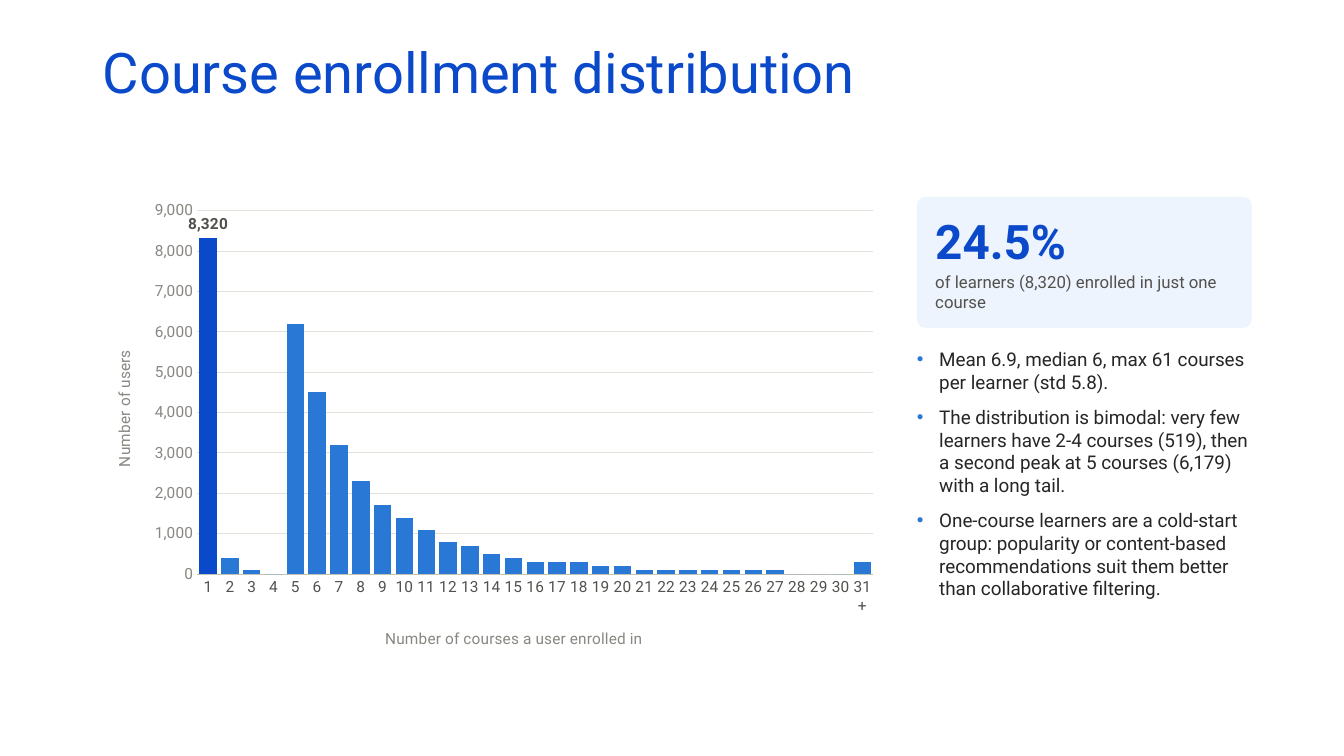
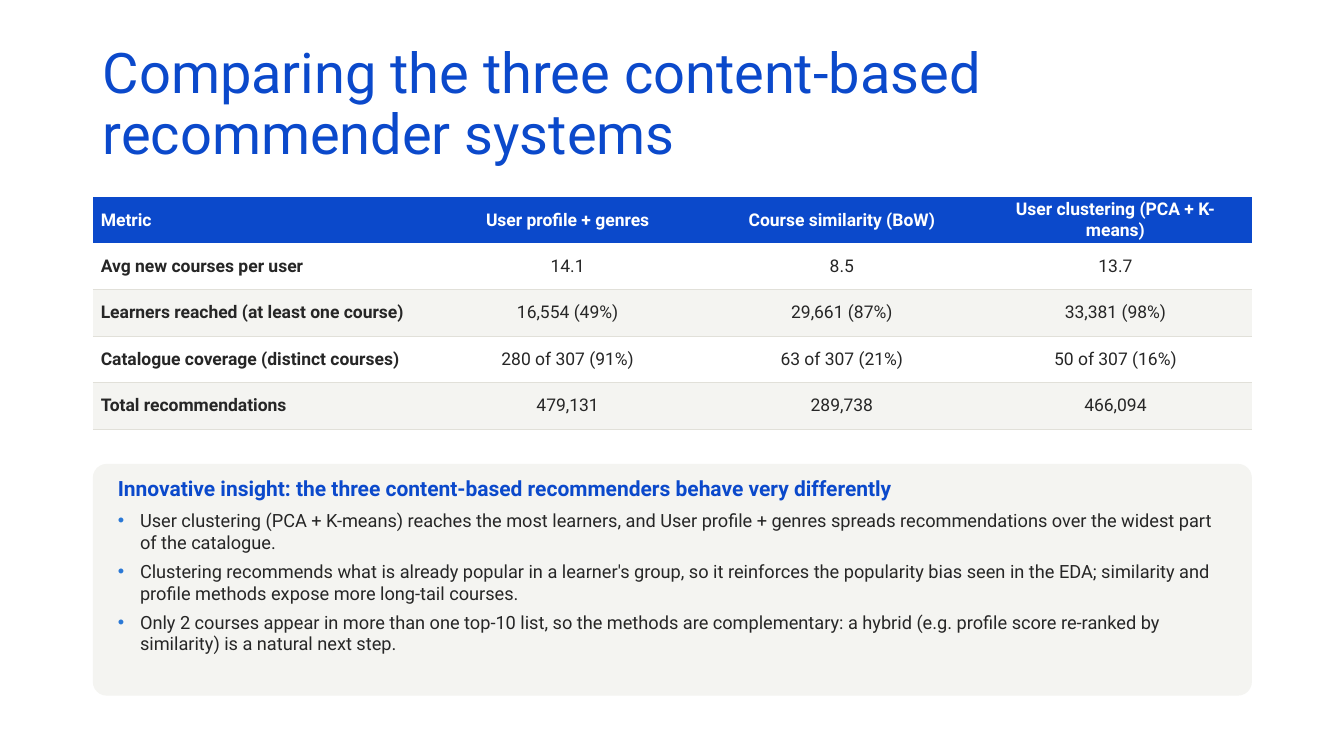
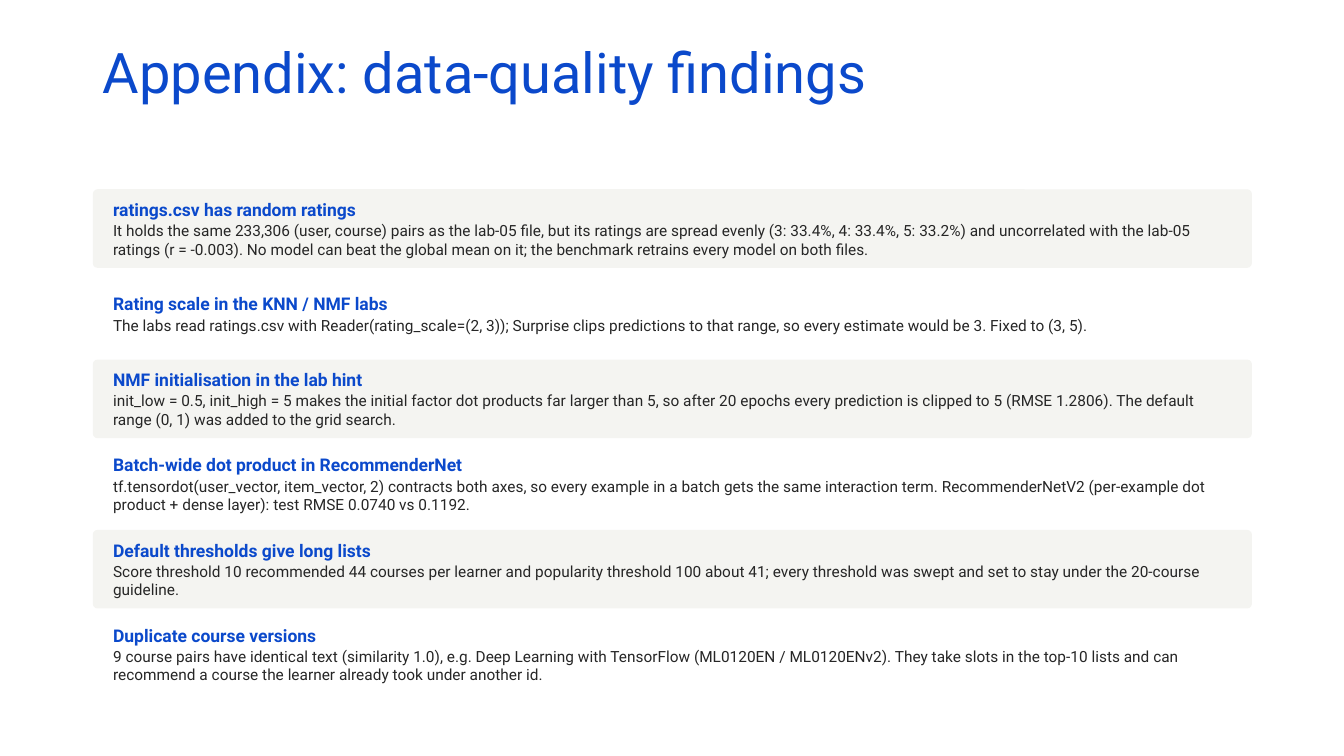
from collections import namedtuple

from lxml.etree import SubElement
from pptx import Presentation
from pptx.chart.data import CategoryChartData
from pptx.dml.color import RGBColor
from pptx.enum.chart import XL_CHART_TYPE, XL_LABEL_POSITION, XL_TICK_MARK
from pptx.enum.shapes import MSO_SHAPE
from pptx.enum.text import MSO_ANCHOR, PP_ALIGN
from pptx.oxml.ns import qn
from pptx.util import Cm, Pt

Style = namedtuple("Style", "size color bold after bullet", defaults=(False, 0, False))


class Theme:
    font, bullet_font = "Roboto", "Arial"
    blue, bar, pale = "0B49CB", "2A78D6", "EEF4FD"
    ink, slate, muted = "262626", "52514E", "898781"
    band, grid, axis, white = "F4F4F1", "E1E0D9", "C3C2B7", "FFFFFF"
    no_table_style = "{2D5ABB26-0587-4C30-8999-92F81FD0307C}"
    left, width = 2.34, 29.21
    title = Style(40, blue)
    figure = Style(34, blue, True, 2)
    caption = Style(12, slate)
    bullet = Style(13.5, ink, after=9, bullet=True)
    insight = Style(15, blue, True, 6)
    insight_bullet = Style(13, ink, after=5, bullet=True)
    finding = Style(12.5, blue, True, 1)
    detail = Style(11, ink)
    header = Style(12.5, white, True)
    metric = Style(12.5, ink, True)
    value = Style(12.5, ink)
    chart = Style(11, slate)
    chart_muted = Style(11, muted)
    chart_label = Style(11, slate, True)


ENROLLMENT_TITLE = "Course enrollment distribution"
COURSES = [str(n) for n in range(1, 31)] + ["31+"]
USERS = [8320, 400, 100, 0, 6200, 4500, 3200, 2300, 1700, 1400, 1100, 800, 700, 500, 400, 300,
         300, 300, 200, 200, 100, 100, 100, 100, 100, 100, 100, 0, 0, 0, 300]
COURSE_AXIS, USER_AXIS = "Number of courses a user enrolled in", "Number of users"
HEADLINE = ("24.5%", "of learners (8,320) enrolled in just one course")
ENROLLMENT_NOTES = [
    "Mean 6.9, median 6, max 61 courses per learner (std 5.8).",
    "The distribution is bimodal: very few learners have 2-4 courses (519), then a second peak "
    "at 5 courses (6,179) with a long tail.",
    "One-course learners are a cold-start group: popularity or content-based recommendations "
    "suit them better than collaborative filtering.",
]

COMPARISON_TITLE = "Comparing the three content-based recommender systems"
COMPARISON = [
    ("Metric", "User profile + genres", "Course similarity (BoW)", "User clustering (PCA + K-means)"),
    ("Avg new courses per user", "14.1", "8.5", "13.7"),
    ("Learners reached (at least one course)", "16,554 (49%)", "29,661 (87%)", "33,381 (98%)"),
    ("Catalogue coverage (distinct courses)", "280 of 307 (91%)", "63 of 307 (21%)", "50 of 307 (16%)"),
    ("Total recommendations", "479,131", "289,738", "466,094"),
]
COLUMN_WIDTHS = (8.51, 6.91, 6.91, 6.88)
INSIGHT = "Innovative insight: the three content-based recommenders behave very differently"
INSIGHT_NOTES = [
    "User clustering (PCA + K-means) reaches the most learners, and User profile + genres spreads "
    "recommendations over the widest part of the catalogue.",
    "Clustering recommends what is already popular in a learner's group, so it reinforces the "
    "popularity bias seen in the EDA; similarity and profile methods expose more long-tail courses.",
    "Only 2 courses appear in more than one top-10 list, so the methods are complementary: a hybrid "
    "(e.g. profile score re-ranked by similarity) is a natural next step.",
]

APPENDIX_TITLE = "Appendix: data-quality findings"
FINDINGS = [
    ("ratings.csv has random ratings",
     "It holds the same 233,306 (user, course) pairs as the lab-05 file, but its ratings are spread "
     "evenly (3: 33.4%, 4: 33.4%, 5: 33.2%) and uncorrelated with the lab-05 ratings (r = -0.003). "
     "No model can beat the global mean on it; the benchmark retrains every model on both files."),
    ("Rating scale in the KNN / NMF labs",
     "The labs read ratings.csv with Reader(rating_scale=(2, 3)); Surprise clips predictions to that "
     "range, so every estimate would be 3. Fixed to (3, 5)."),
    ("NMF initialisation in the lab hint",
     "init_low = 0.5, init_high = 5 makes the initial factor dot products far larger than 5, so after "
     "20 epochs every prediction is clipped to 5 (RMSE 1.2806). The default range (0, 1) was added to "
     "the grid search."),
    ("Batch-wide dot product in RecommenderNet",
     "tf.tensordot(user_vector, item_vector, 2) contracts both axes, so every example in a batch gets "
     "the same interaction term. RecommenderNetV2 (per-example dot product + dense layer): test RMSE "
     "0.0740 vs 0.1192."),
    ("Default thresholds give long lists",
     "Score threshold 10 recommended 44 courses per learner and popularity threshold 100 about 41; "
     "every threshold was swept and set to stay under the 20-course guideline."),
    ("Duplicate course versions",
     "9 course pairs have identical text (similarity 1.0), e.g. Deep Learning with TensorFlow "
     "(ML0120EN / ML0120ENv2). They take slots in the top-10 lists and can recommend a course the "
     "learner already took under another id."),
]


def rgb(color):
    return RGBColor.from_string(color)


def paint(fill, color):
    fill.solid()
    fill.fore_color.rgb = rgb(color)


def set_font(font, style):
    font.name = Theme.font
    font.size = Pt(style.size)
    font.bold = style.bold
    font.color.rgb = rgb(style.color)


def add_bullet(para):
    properties = para._p.get_or_add_pPr()
    properties.set("marL", str(Cm(0.56)))
    properties.set("indent", str(-Cm(0.56)))
    color = SubElement(properties, qn("a:buClr"))
    SubElement(color, qn("a:srgbClr")).set("val", Theme.bar)
    SubElement(properties, qn("a:buFont")).set("typeface", Theme.bullet_font)
    SubElement(properties, qn("a:buChar")).set("char", "•")


def write_para(para, text, style):
    para.text = text
    if style.bullet:
        add_bullet(para)
    if style.after:
        para.space_after = Pt(style.after)
    set_font(para.font, style)


def add_text(page, area, lines, anchor=MSO_ANCHOR.TOP, inset=(0, 0)):
    frame = page.shapes.add_textbox(*map(Cm, area)).text_frame
    frame.word_wrap = True
    frame.vertical_anchor = anchor
    frame.margin_left = frame.margin_right = Cm(inset[0])
    frame.margin_top = frame.margin_bottom = Cm(inset[1])
    for index, (text, style) in enumerate(lines):
        para = frame.add_paragraph() if index else frame.paragraphs[0]
        write_para(para, text, style)
    return frame


def add_card(page, area, color):
    card = page.shapes.add_shape(MSO_SHAPE.ROUNDED_RECTANGLE, *map(Cm, area))
    card.adjustments[0] = 0.06
    card.shadow.inherit = False
    paint(card.fill, color)
    card.line.fill.background()


def add_page(deck, title):
    page = deck.slides.add_slide(deck.slide_layouts[6])
    frame = add_text(page, (Theme.left, 1.02, Theme.width, 3.68), [(title, Theme.title)],
                     inset=(0.25, 0.13))
    frame.paragraphs[0].line_spacing = 0.9
    return page


def style_axis(axis, title, style):
    axis.has_title = True
    para = axis.axis_title.text_frame.paragraphs[0]
    para.text = title
    set_font(para.font, Theme.chart_muted)
    set_font(axis.tick_labels.font, style)
    axis.major_tick_mark = axis.minor_tick_mark = XL_TICK_MARK.NONE


def add_histogram(page, area):
    data = CategoryChartData(number_format="#,##0")
    data.categories = COURSES
    data.add_series(USER_AXIS, USERS)
    chart = page.shapes.add_chart(XL_CHART_TYPE.COLUMN_CLUSTERED, *map(Cm, area), data).chart
    chart.has_legend = chart.has_title = False
    set_font(chart.font, Theme.chart)

    style_axis(chart.category_axis, COURSE_AXIS, Theme.chart)
    axis_line = chart.category_axis.format.line
    axis_line.color.rgb = rgb(Theme.axis)
    axis_line.width = Pt(0.75)

    users = chart.value_axis
    style_axis(users, USER_AXIS, Theme.chart_muted)
    users.minimum_scale, users.maximum_scale, users.major_unit = 0, 9000, 1000
    users.tick_labels.number_format = "#,##0"
    users.tick_labels.number_format_is_linked = False
    users.format.line.fill.background()
    users.major_gridlines.format.line.color.rgb = rgb(Theme.grid)
    users.major_gridlines.format.line.width = Pt(0.75)

    plot = chart.plots[0]
    plot.gap_width = 25
    plot.vary_by_categories = False
    series = plot.series[0]
    paint(series.format.fill, Theme.bar)
    single_course = series.points[0]
    paint(single_course.format.fill, Theme.blue)
    label = single_course.data_label
    set_font(label.font, Theme.chart_label)
    label.position = XL_LABEL_POSITION.OUTSIDE_END


def add_bottom_border(cell):
    line = SubElement(cell._tc.get_or_add_tcPr(), qn("a:lnB"), w=str(Pt(0.75)))
    fill = SubElement(line, qn("a:solidFill"))
    SubElement(fill, qn("a:srgbClr")).set("val", Theme.grid)


def add_comparison(page, top, row_height):
    rows = len(COMPARISON)
    area = (Theme.left, top, Theme.width, rows * row_height)
    table = page.shapes.add_table(rows, len(COLUMN_WIDTHS), *map(Cm, area)).table
    table.horz_banding = False
    table._tbl.tblPr.find(qn("a:tableStyleId")).text = Theme.no_table_style
    for column, width in zip(table.columns, COLUMN_WIDTHS):
        column.width = Cm(width)
    for r, texts in enumerate(COMPARISON):
        table.rows[r].height = Cm(row_height)
        background = Theme.blue if r == 0 else (Theme.band, Theme.white)[r % 2]
        for c, text in enumerate(texts):
            cell = table.cell(r, c)
            if r:
                add_bottom_border(cell)
            paint(cell.fill, background)
            cell.vertical_anchor = MSO_ANCHOR.MIDDLE
            cell.margin_left = cell.margin_right = Cm(0.2)
            cell.margin_top = cell.margin_bottom = Cm(0.05)
            para = cell.text_frame.paragraphs[0]
            if c:
                para.alignment = PP_ALIGN.CENTER
            body = Theme.value if c else Theme.metric
            write_para(para, text, body if r else Theme.header)


def build_enrollment(deck):
    page = add_page(deck, ENROLLMENT_TITLE)
    add_histogram(page, (Theme.left, 4.83, 20.07, 12.06))
    add_card(page, (23.11, 4.96, 8.43, 3.3), Theme.pale)
    add_text(page, (23.57, 5.26, 7.52, 2.69), zip(HEADLINE, (Theme.figure, Theme.caption)),
             MSO_ANCHOR.MIDDLE)
    add_text(page, (23.11, 8.76, 8.43, 8.89), [(note, Theme.bullet) for note in ENROLLMENT_NOTES])


def build_comparison(deck):
    page = add_page(deck, COMPARISON_TITLE)
    add_comparison(page, 4.96, 1.17)
    add_card(page, (Theme.left, 11.69, Theme.width, 5.84), Theme.band)
    notes = [(note, Theme.insight_bullet) for note in INSIGHT_NOTES]
    add_text(page, (2.97, 11.99, 27.94, 5.33), [(INSIGHT, Theme.insight)] + notes)


def build_appendix(deck):
    page = add_page(deck, APPENDIX_TITLE)
    first, last, height = 4.77, 15.5, 1.98
    side, edge = 0.51, 0.08
    pitch = (last - first) / (len(FINDINGS) - 1)
    for index, finding in enumerate(FINDINGS):
        top = first + index * pitch
        add_card(page, (Theme.left, top, Theme.width, height), (Theme.band, Theme.white)[index % 2])
        area = (Theme.left + side, top + edge, Theme.width - 2 * side, height - 2 * edge)
        add_text(page, area, zip(finding, (Theme.finding, Theme.detail)), MSO_ANCHOR.MIDDLE)


def main():
    deck = Presentation()
    deck.slide_width, deck.slide_height = Cm(33.87), Cm(19.05)
    build_enrollment(deck)
    build_comparison(deck)
    build_appendix(deck)
    deck.save("out.pptx")


if __name__ == "__main__":
    main()
